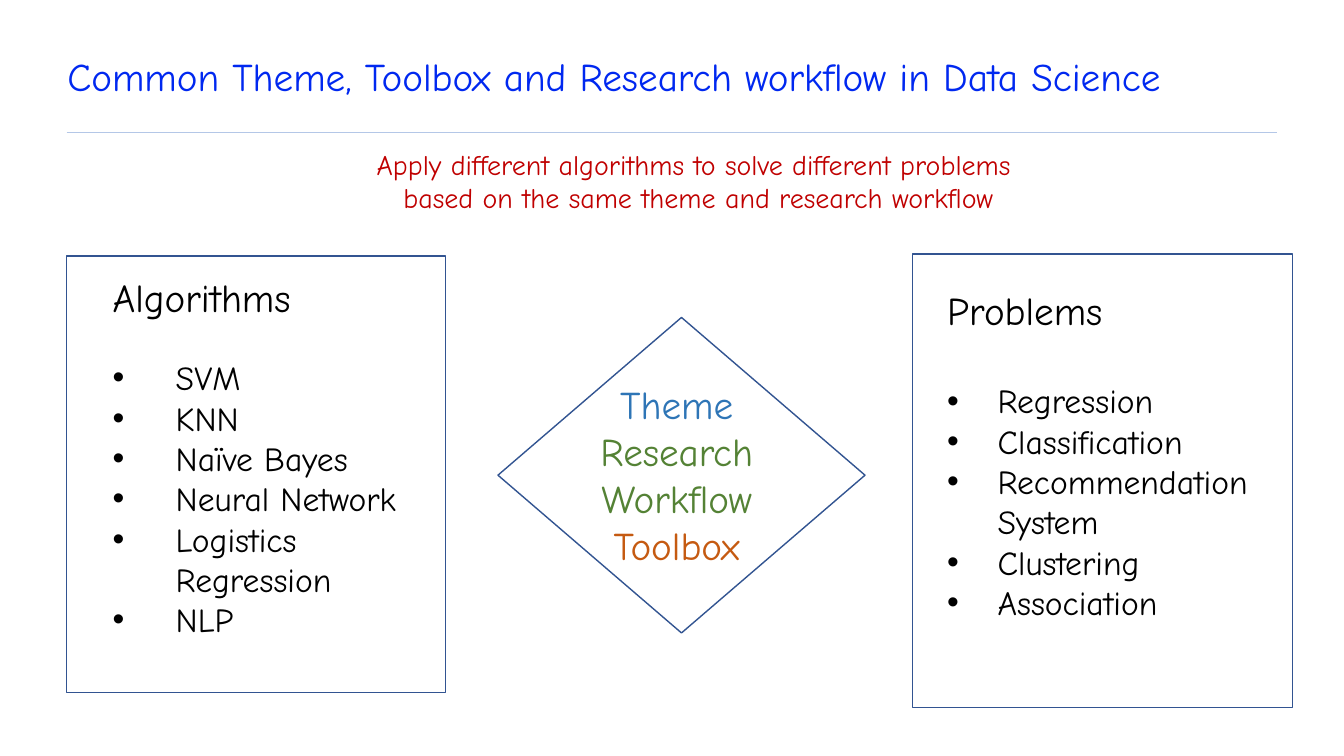
from lxml.etree import SubElement
from pptx import Presentation
from pptx.dml.color import RGBColor
from pptx.enum.shapes import MSO_CONNECTOR as Connector, MSO_SHAPE as Shape
from pptx.enum.text import MSO_ANCHOR as Anchor, PP_ALIGN as Align
from pptx.oxml.ns import qn
from pptx.util import Cm, Pt

FONT = "Comic Neue"
COLORS = {
    "title": "0028F0",
    "rule": "B4C7E7",
    "outline": "325491",
    "message": "C00000",
    "theme": "2E75B6",
    "workflow": "548235",
    "toolbox": "C55A11",
    "text": "000000",
}


class SlideBuilder:
    def __init__(self, slide):
        self.slide = slide

    def color(self, name):
        return RGBColor.from_string(COLORS[name])

    def rule(self, left, top, right):
        line = self.slide.shapes.add_connector(
            Connector.STRAIGHT, Cm(left), Cm(top), Cm(right), Cm(top))
        line.line.color.rgb = self.color("rule")
        line.line.width = Pt(0.5)
        SubElement(line._element.spPr, qn("a:effectLst"))

    def outline(self, kind, left, top, width, height):
        shape = self.slide.shapes.add_shape(
            kind, Cm(left), Cm(top), Cm(width), Cm(height))
        shape.shadow.inherit = False
        shape.fill.background()
        shape.line.color.rgb = self.color("outline")
        shape.line.width = Pt(1)

    def text_box(self, left, top, width, height, anchor=Anchor.TOP):
        box = self.slide.shapes.add_textbox(
            Cm(left), Cm(top), Cm(width), Cm(height))
        frame = box.text_frame
        frame.word_wrap = True
        frame.vertical_anchor = anchor
        return frame

    def style(self, paragraph, size, color, align=Align.LEFT):
        paragraph.alignment = align
        font = paragraph.font
        font.name = FONT
        font.size = Pt(size)
        font.color.rgb = self.color(color)

    def title(self, text):
        frame = self.text_box(1.45, 0.86, 31.12, 1.78, Anchor.BOTTOM)
        paragraph = frame.paragraphs[0]
        paragraph.text = text
        paragraph.line_spacing = 0.9
        self.style(paragraph, 28, "title")

    def centered_lines(self, left, top, width, height, size, lines):
        frame = self.text_box(left, top, width, height)
        for index, (text, color) in enumerate(lines):
            paragraph = frame.add_paragraph() if index else frame.paragraphs[0]
            paragraph.text = text
            self.style(paragraph, size, color, Align.CENTER)

    def bullet_list(self, left, top, width, height, heading, gap, indent, items):
        frame = self.text_box(left, top, width, height)
        paragraph = frame.paragraphs[0]
        paragraph.text = heading
        paragraph.space_after = Pt(gap)
        self.style(paragraph, 28, "text")
        for item in items:
            paragraph = frame.add_paragraph()
            paragraph.text = item
            properties = paragraph._p.get_or_add_pPr()
            properties.set("marL", str(Cm(indent)))
            properties.set("indent", str(-Cm(indent)))
            SubElement(properties, qn("a:buFont"), typeface="Arial")
            SubElement(properties, qn("a:buChar"), char="•")
            self.style(paragraph, 24, "text")


def main():
    presentation = Presentation()
    presentation.slide_width = Cm(33.87)
    presentation.slide_height = Cm(19.05)
    builder = SlideBuilder(
        presentation.slides.add_slide(presentation.slide_layouts[6]))

    builder.rule(1.68, 3.33, 32.18)
    builder.title("Common Theme, Toolbox and Research workflow in Data Science")
    builder.centered_lines(13.46, 9.45, 7.19, 5.05, 28, [
        ("Theme", "theme"),
        ("Research Workflow", "workflow"),
        ("Toolbox", "toolbox"),
    ])
    builder.outline(Shape.RECTANGLE, 1.68, 6.45, 9.55, 11)
    builder.bullet_list(
        23.62, 7.09, 8.79, 8.81, "Problems", 33.6, 1.27,
        ["Regression", "Classification", "Recommendation System",
         "Clustering", "Association"])
    builder.bullet_list(
        2.59, 6.76, 8.13, 11.63, "Algorithms", 26.4, 1.59,
        ["SVM", "KNN", "Naïve Bayes", "Neural Network",
         "Logistics Regression", "NLP"])
    builder.outline(Shape.RECTANGLE, 22.99, 6.4, 9.58, 11.43)
    builder.centered_lines(3.15, 3.58, 28.91, 1.96, 20, [
        ("Apply different algorithms to solve different problems ", "message"),
        ("based on the same theme and research workflow", "message"),
    ])
    builder.outline(Shape.FLOWCHART_DECISION, 12.55, 8, 9.25, 7.95)

    presentation.save("out.pptx")


if __name__ == "__main__":
    main()
